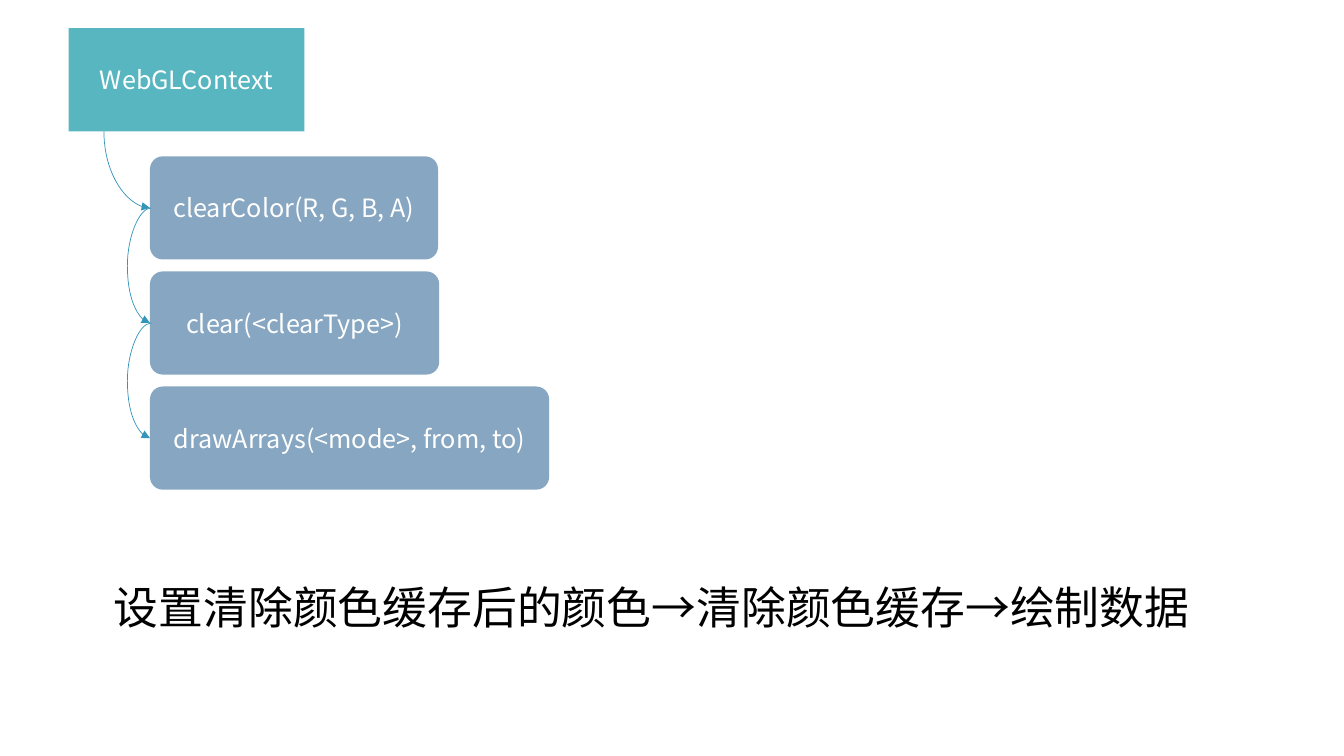
"""Slide showing the WebGL call sequence for clearing the colour buffer and drawing."""
import pptx
import pptx.util
import pptx.dml.color
import pptx.enum.shapes
import pptx.enum.text
import pptx.oxml
import pptx.oxml.ns
from dataclasses import dataclass

CONTEXT = "WebGLContext"
CALLS = [
    ("clearColor(R, G, B, A)", 7.26),
    ("clear(<clearType>)", 7.29),
    ("drawArrays(<mode>, from, to)", 10.06),
]
SUMMARY = "设置清除颜色缓存后的颜色→清除颜色缓存→绘制数据"


@dataclass(frozen=True)
class Theme:
    font: str = "Noto Sans CJK SC"
    context: str = "58B6C0"
    call: str = "86A6C1"
    arrow: str = "3494BA"
    light: str = "FFFFFF"
    dark: str = "000000"
    label_size: int = 18
    summary_size: int = 32
    arrow_width: float = 0.5


THEME = Theme()
Cm = pptx.util.Cm
SHAPES = pptx.enum.shapes.MSO_SHAPE
qn = pptx.oxml.ns.qn
BOX_HEIGHT = 2.6
CONTEXT_LEFT, CONTEXT_TOP, CONTEXT_WIDTH = 1.73, 0.71, 5.94
CALL_LEFT, CALL_TOP, CALL_PITCH = 3.78, 3.94, 2.9
STEM_LEFT = 2.62
LOOP_WIDTH, LOOP_BULGE = 0.03, 0.6


def rgb(code):
    return pptx.dml.color.RGBColor.from_string(code)


def add_words(frame, words, size, color):
    run = frame.paragraphs[0].add_run()
    run.text = words
    run.font.name = THEME.font
    run.font.size = pptx.util.Pt(size)
    run.font.color.rgb = rgb(color)
    east_asian = pptx.oxml.parse_xml(
        f'<a:ea {pptx.oxml.ns.nsdecls("a")} typeface="{THEME.font}"/>')
    run.font._element.find(qn("a:latin")).addnext(east_asian)


def add_box(slide, kind, words, left, top, width, color):
    box = slide.shapes.add_shape(kind, Cm(left), Cm(top), Cm(width), Cm(BOX_HEIGHT))
    box.shadow.inherit = False
    box.fill.solid()
    box.fill.fore_color.rgb = rgb(color)
    box.line.fill.background()
    frame = box.text_frame
    frame.word_wrap = True
    frame.vertical_anchor = pptx.enum.text.MSO_ANCHOR.MIDDLE
    frame.paragraphs[0].alignment = pptx.enum.text.PP_ALIGN.CENTER
    add_words(frame, words, THEME.label_size, THEME.light)
    return box


def add_arrow(slide, left, top, width, height, preset, degrees, flip, bend=None):
    arrow = slide.shapes.add_connector(
        pptx.enum.shapes.MSO_CONNECTOR.CURVE,
        Cm(left), Cm(top), Cm(left + width), Cm(top + height))
    arrow.line.color.rgb = rgb(THEME.arrow)
    arrow.line.width = pptx.util.Pt(THEME.arrow_width)
    properties = arrow._element.spPr
    placement = properties.find(qn("a:xfrm"))
    placement.set("rot", str(degrees * 60000))
    placement.set(flip, "1")
    geometry = properties.find(qn("a:prstGeom"))
    geometry.set("prst", preset)
    if bend is not None:
        guide = pptx.oxml.ns.nsdecls("a")
        geometry.find(qn("a:avLst")).append(pptx.oxml.parse_xml(
            f'<a:gd {guide} name="adj1" fmla="val {round(bend * 100000)}"/>'))
    line = properties.find(qn("a:ln"))
    line.append(line.makeelement(qn("a:tailEnd"), {"type": "triangle"}))
    properties.append(properties.makeelement(qn("a:effectLst"), {}))


deck = pptx.Presentation()
deck.slide_width, deck.slide_height = Cm(33.87), Cm(19.05)
slide = deck.slides.add_slide(deck.slide_layouts[6])

add_box(slide, SHAPES.RECTANGLE, CONTEXT, CONTEXT_LEFT, CONTEXT_TOP,
        CONTEXT_WIDTH, THEME.context)

for index, (call, width) in enumerate(CALLS):
    top = CALL_TOP + index * CALL_PITCH
    call_box = add_box(slide, SHAPES.ROUNDED_RECTANGLE, call, CALL_LEFT, top,
                       width, THEME.call)
    call_box.adjustments[0] = 0.124
    middle = top + BOX_HEIGHT / 2
    if index == 0:
        start = CONTEXT_TOP + BOX_HEIGHT
        drop, reach = middle - start, CALL_LEFT - STEM_LEFT
        add_arrow(slide, STEM_LEFT + (reach - drop) / 2, start + (drop - reach) / 2,
                  drop, reach, "curvedConnector2", 270, "flipH")
    else:
        add_arrow(slide, CALL_LEFT, middle - CALL_PITCH, LOOP_WIDTH, CALL_PITCH,
                  "curvedConnector3", 180, "flipV", LOOP_BULGE / LOOP_WIDTH)

summary = slide.shapes.add_textbox(Cm(STEM_LEFT), Cm(14.48), Cm(28.45), Cm(1.63))
summary.text_frame.word_wrap = False
summary.text_frame.auto_size = pptx.enum.text.MSO_AUTO_SIZE.SHAPE_TO_FIT_TEXT
add_words(summary.text_frame, SUMMARY, THEME.summary_size, THEME.dark)

deck.save("out.pptx")
